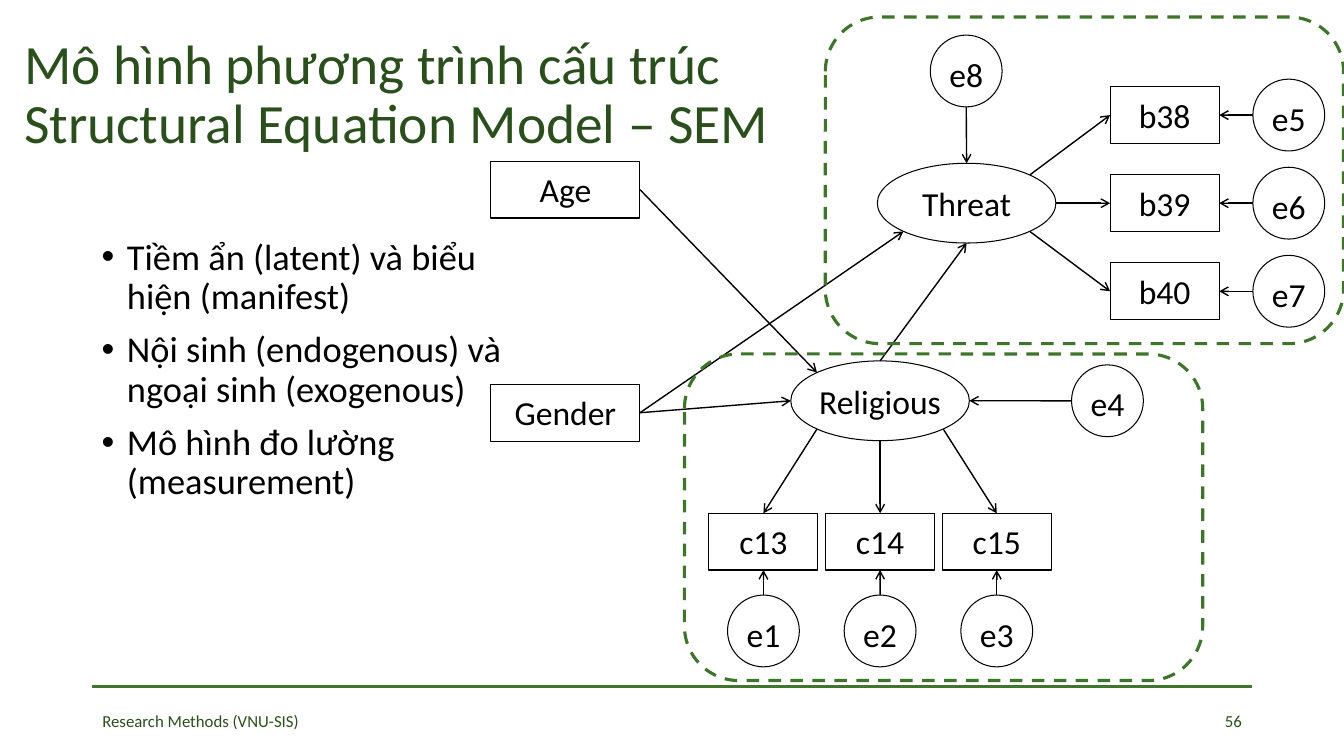
from math import sqrt
from lxml.etree import SubElement
from pptx import Presentation
from pptx.dml.color import RGBColor as Rgb
from pptx.enum.dml import MSO_LINE as Dash
from pptx.enum.shapes import MSO_CONNECTOR as Link, MSO_SHAPE as Form
from pptx.enum.text import MSO_ANCHOR as Anchor, MSO_AUTO_SIZE as Fit, PP_ALIGN as Align
from pptx.oxml.ns import qn
from pptx.util import Cm, Pt

INK = {"text": "000000", "title": "2A4F1C", "rule": "3F762B", "frame": "3E752A"}
FONT = "Calibri"
DIAG = 1 / sqrt(2)


def put(frame, text, size=24, ink="text", align=Align.LEFT, anchor=Anchor.TOP,
        inset=(0.25, 0.13), line=None, before=0, bullet=None):
    """Fill a text frame, one paragraph for each line of the text."""
    frame.word_wrap = True
    frame.auto_size = Fit.NONE
    frame.vertical_anchor = anchor
    frame.margin_left = frame.margin_right = Cm(inset[0])
    frame.margin_top = frame.margin_bottom = Cm(inset[1])
    frame.text = text
    for para in frame.paragraphs:
        para.alignment = align
        para.space_before = Pt(before)
        if line:
            para.line_spacing = line
        if bullet:
            props = para._p.get_or_add_pPr()
            props.set("marL", str(Cm(0.64)))
            props.set("indent", str(-Cm(0.64)))
            SubElement(props, qn("a:buFont"), typeface="Arial")
            SubElement(props, qn("a:buChar"), char=bullet)
        for run in para.runs:
            run.font.name = FONT
            run.font.size = Pt(size)
            run.font.color.rgb = Rgb.from_string(INK[ink])


def spot(node, dx, dy):
    """Point on the edge of a node, dx and dy running from -1 to 1."""
    return (node.left + node.width * (1 + dx) / 2,
            node.top + node.height * (1 + dy) / 2)


class Page:
    def __init__(self, deck):
        self.slide = deck.slides.add_slide(deck.slide_layouts[5])
        self.shapes = self.slide.shapes

    def title(self, text, x, y, w, h, **style):
        box = self.shapes.title
        box.left, box.top, box.width, box.height = map(Cm, (x, y, w, h))
        put(box.text_frame, text, **style)

    def text(self, text, x, y, w, h, **style):
        box = self.shapes.add_textbox(*map(Cm, (x, y, w, h)))
        put(box.text_frame, text, **style)

    def shape(self, form, x, y, w, h, ink="text", width=0.75):
        item = self.shapes.add_shape(form, *map(Cm, (x, y, w, h)))
        item.shadow.inherit = False
        item.fill.background()
        item.line.color.rgb = Rgb.from_string(INK[ink])
        item.line.width = Pt(width)
        return item

    def node(self, form, text, cx, cy, w, h):
        item = self.shape(form, cx - w / 2, cy - h / 2, w, h)
        put(item.text_frame, text, align=Align.CENTER, inset=(0, 0.2))
        return item

    def cause(self, text, cy):
        return self.node(Form.RECTANGLE, text, 14.25, cy, 3.76, 1.43)

    def latent(self, text, cx, cy):
        return self.node(Form.OVAL, text, cx, cy, 4.5, 2.01)

    def item(self, text, cx, cy):
        return self.node(Form.RECTANGLE, text, cx, cy, 2.75, 1.43)

    def error(self, text, cx, cy):
        return self.node(Form.OVAL, text, cx, cy, 1.81, 1.81)

    def frame(self, x, y):
        box = self.shape(Form.ROUNDED_RECTANGLE, x, y, 13.06, 8.23, "frame", 2.25)
        box.line.dash_style = Dash.DASH

    def line(self, start, end, ink="text", width=1):
        ends = [round(n) for n in (*start, *end)]
        link = self.shapes.add_connector(Link.STRAIGHT, *ends)
        link.line.color.rgb = Rgb.from_string(INK[ink])
        link.line.width = Pt(width)
        SubElement(link._element.spPr, qn("a:effectLst"))
        return link

    def arrow(self, start, end):
        link = self.line(start, end)
        SubElement(link.line._get_or_add_ln(), qn("a:tailEnd"), type="arrow")


def main():
    deck = Presentation()
    deck.slide_width, deck.slide_height = Cm(33.87), Cm(19.05)
    page = Page(deck)

    # Title, points and footer
    page.line((Cm(2.33), Cm(17.3)), (Cm(31.55), Cm(17.3)), "rule", 2.25)
    page.title("Mô hình phương trình cấu trúc\vStructural Equation Model – SEM",
               0.36, 0.53, 20.04, 3.78, size=39.6, ink="title",
               anchor=Anchor.MIDDLE, line=0.9)
    page.text("Tiềm ẩn (latent) và biểu hiện (manifest)\n"
              "Nội sinh (endogenous) và ngoại sinh (exogenous)\n"
              "Mô hình đo lường (measurement)",
              2.31, 5.89, 10.64, 11.25, size=26, line=0.9, before=10, bullet="•")
    foot = dict(size=12, ink="title", anchor=Anchor.MIDDLE)
    page.text("Research Methods (VNU-SIS)", 2.33, 17.65, 6.38, 1.02, **foot)
    page.text("56", 23.93, 17.65, 7.62, 1.02, align=Align.RIGHT, **foot)

    # Causes and latent variables
    age = page.cause("Age", 4.78)
    gender = page.cause("Gender", 10.4)
    threat = page.latent("Threat", 24.36, 5.12)
    faith = page.latent("Religious", 22.18, 10.1)

    # Paths between them
    page.arrow(spot(gender, 1, 0), spot(faith, -1, 0))
    page.arrow(spot(age, 1, 0), spot(faith, -DIAG, -DIAG))
    page.arrow(spot(faith, 0, -1), spot(threat, 0, 1))
    page.arrow(spot(gender, 1, 0), spot(threat, -DIAG, DIAG))

    # Measured items: a row under Religious, a column beside Threat
    edges = (-DIAG, DIAG), (0, 1), (DIAG, DIAG)
    for i, (dx, dy) in enumerate(edges):
        cx = 22.18 + 2.94 * (i - 1)
        item = page.item(f"c{13 + i}", cx, 13.65)
        error = page.error(f"e{1 + i}", cx, 15.9)
        page.arrow(spot(error, 0, -1), spot(item, 0, -1 + 2))
        page.arrow(spot(faith, dx, dy), spot(item, 0, -1))

    edges = (DIAG, -DIAG), (1, 0), (DIAG, DIAG)
    for i, (dx, dy) in enumerate(edges):
        cy = 5.12 + 2.22 * (i - 1)
        item = page.item(f"b{38 + i}", 29.35, cy)
        error = page.error(f"e{5 + i}", 32.48, cy)
        page.arrow(spot(error, -1, 0), spot(item, 1, 0))
        page.arrow(spot(threat, dx, dy), spot(item, -1, 0))

    # Errors of the latent variables
    error = page.error("e4", 27.91, 10.1)
    page.arrow(spot(error, -1, 0), spot(faith, 1, 0))
    error = page.error("e8", 24.35, 1.79)
    page.arrow(spot(error, 0, 1), spot(threat, 0, -1))

    # Dashed frames around the two measurement models
    page.frame(20.8, 0.43)
    page.frame(17.25, 8.92)

    deck.save("out.pptx")


if __name__ == "__main__":
    main()
